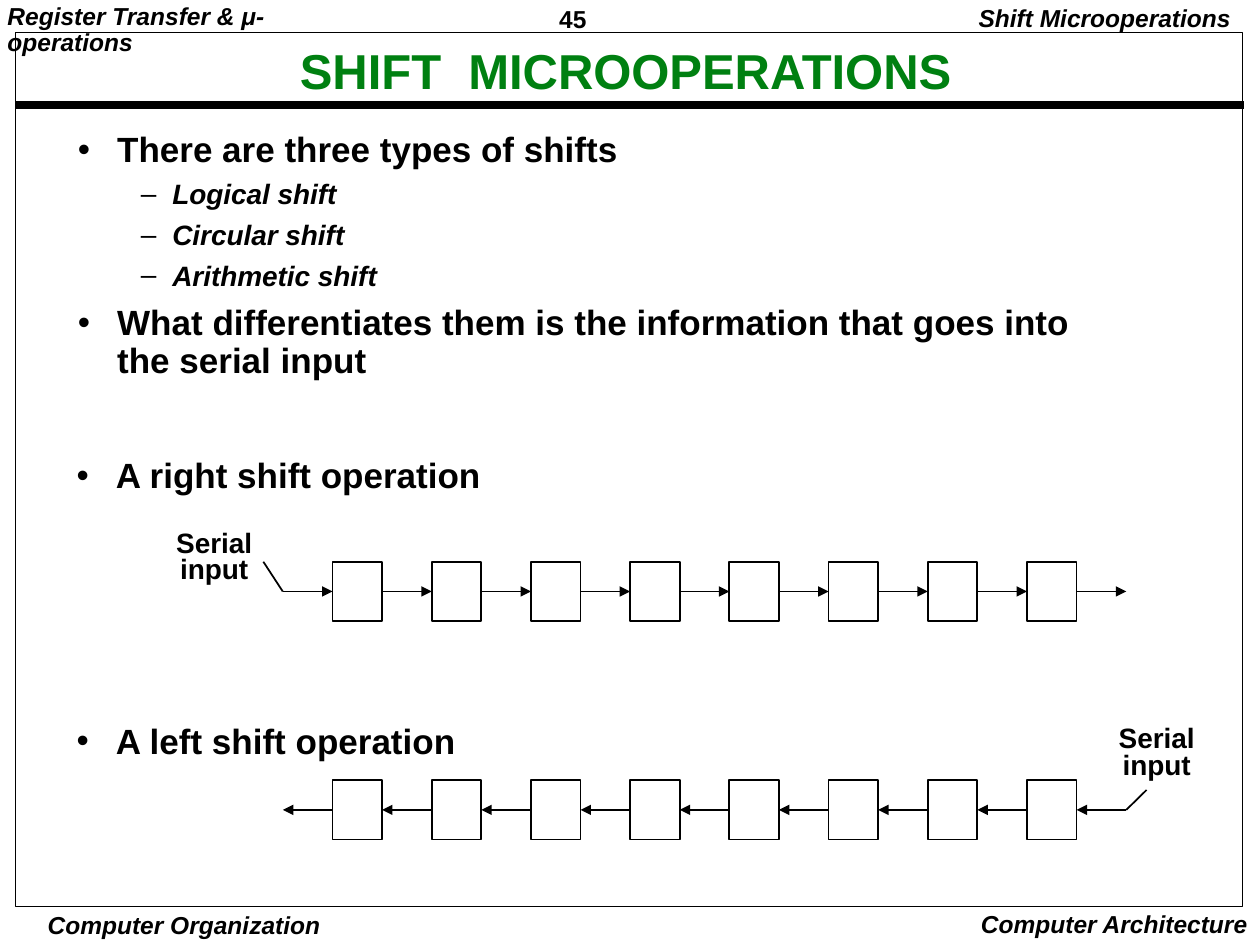
import pptx
import pptx.util
import pptx.dml.color
import pptx.enum.shapes
import pptx.enum.text
import pptx.oxml
import pptx.oxml.ns

Pt = pptx.util.Pt
ALIGN = pptx.enum.text.PP_ALIGN
FONT = "Arial"
COLORS = {"ink": "000000", "title": "008011"}

CELL_COUNT = 8
CELL_WIDTH = 28.35
CELL_HEIGHT = 34
CELL_PITCH = 2 * CELL_WIDTH
REGISTER_LEFT = 190


def color(name):
    return pptx.dml.color.RGBColor.from_string(COLORS[name])


def add_drawing(parent, tag, **attributes):
    element = pptx.oxml.parse_xml(f"<a:{tag} {pptx.oxml.ns.nsdecls('a')}/>")
    for key, value in attributes.items():
        element.set(key, str(value))
    parent.append(element)


def add_text(slide, box, inset=(7.2, 3.6)):
    frame = slide.shapes.add_textbox(*map(Pt, box)).text_frame
    frame.word_wrap = True
    frame.margin_left = frame.margin_right = Pt(inset[0])
    frame.margin_top = frame.margin_bottom = Pt(inset[1])
    return frame


def style(paragraph, size, italic=False, align=ALIGN.LEFT, spacing=0.9, ink="ink"):
    paragraph.alignment = align
    paragraph.line_spacing = spacing
    for run in paragraph.runs:
        run.font.name = FONT
        run.font.size = Pt(size)
        run.font.bold = True
        run.font.italic = italic
        run.font.color.rgb = color(ink)


def add_label(slide, text, box, size, inset=(7.2, 3.6), **look):
    frame = add_text(slide, box, inset)
    frame.text = text
    for paragraph in frame.paragraphs:
        style(paragraph, size, **look)
    return frame


def add_bullets(slide, box, items):
    frame = add_text(slide, box)
    for index, (text, level, before) in enumerate(items):
        paragraph = frame.paragraphs[0] if index == 0 else frame.add_paragraph()
        paragraph.text = text
        paragraph.level = level
        paragraph.space_before = Pt(before)
        style(paragraph, (20, 16)[level], italic=level == 1)
        left, hanging = ((22.5, 22.5), (54, 18))[level]
        properties = paragraph._p.get_or_add_pPr()
        properties.set("marL", str(Pt(left)))
        properties.set("indent", str(-Pt(hanging)))
        add_drawing(properties, "buFont", typeface=FONT)
        add_drawing(properties, "buChar", char="•–"[level])


def add_box(slide, box, weight):
    outline = slide.shapes.add_shape(
        pptx.enum.shapes.MSO_SHAPE.RECTANGLE, *map(Pt, box))
    outline.shadow.inherit = False
    outline.fill.background()
    outline.line.color.rgb = color("ink")
    outline.line.width = Pt(weight)


def add_line(slide, start, end, weight=1, arrow=False):
    line = slide.shapes.add_connector(
        pptx.enum.shapes.MSO_CONNECTOR.STRAIGHT, *map(Pt, (*start, *end)))
    line.line.color.rgb = color("ink")
    line.line.width = Pt(weight)
    if arrow:
        add_drawing(line.line._get_or_add_ln(), "tailEnd", type="triangle")
    add_drawing(line._element.spPr, "effectLst")


def add_register(slide, top, to_right):
    middle = top + CELL_HEIGHT / 2
    for cell in range(CELL_COUNT):
        left = REGISTER_LEFT + cell * CELL_PITCH
        add_box(slide, (left, top, CELL_WIDTH, CELL_HEIGHT), 1)
    for gap in range(CELL_COUNT + 1):
        right = REGISTER_LEFT + gap * CELL_PITCH
        ends = [(right - CELL_WIDTH, middle), (right, middle)]
        add_line(slide, *(ends if to_right else ends[::-1]), arrow=True)


def add_serial_input(slide, left, top, start, end):
    add_label(slide, "Serial\ninput", (left, top, 68, 38), 16,
              align=ALIGN.CENTER, spacing=0.8)
    add_line(slide, start, end)


def add_page_frame(slide):
    add_label(slide, "45", (314.6, 0, 78, 21), 14, inset=(5, 2.2), spacing=1)
    add_label(slide, "Computer Organization", (15.2, 519.4, 180, 18.7), 14,
              inset=(2.2, 0.7), italic=True, align=ALIGN.CENTER, spacing=1)
    add_label(slide, "Computer Architecture", (540, 516.2, 180, 23.8), 14,
              italic=True, align=ALIGN.RIGHT, spacing=1)
    add_label(slide, "Shift Microoperations", (530.6, 0, 180, 22.3), 14,
              italic=True, align=ALIGN.RIGHT)
    add_label(slide, "Register Transfer & μ-operations", (-0.7, 0, 180, 34.6), 14,
              inset=(5, 2.2), italic=True)
    add_line(slide, (9, 59.8), (710.6, 59.8), 4.5)
    add_box(slide, (9, 18.5, 701.2, 499.7), 0.5)


def main():
    deck = pptx.Presentation()
    deck.slide_width, deck.slide_height = Pt(720), Pt(540)
    slide = deck.slides.add_slide(deck.slide_layouts[6])

    add_page_frame(slide)
    title = add_label(slide, "SHIFT  MICROOPERATIONS", (11.5, 24.6, 692, 34.6), 28,
                      align=ALIGN.CENTER, ink="title")
    title.vertical_anchor = pptx.enum.text.MSO_ANCHOR.MIDDLE

    add_bullets(slide, (37.4, 72, 583.2, 186.5), [
        ("There are three types of shifts", 0, 0),
        ("Logical shift", 1, 6),
        ("Circular shift", 1, 6),
        ("Arithmetic shift", 1, 6),
        ("What differentiates them is the information that goes into the serial input",
         0, 7.5),
    ])
    add_bullets(slide, (36.7, 258.5, 360, 180), [
        ("A right shift operation", 0, 0),
        ("A left shift operation", 0, 130),
    ])

    add_register(slide, 321, to_right=True)
    add_serial_input(slide, 88.4, 300.2, (161.6, 338), (150.5, 321))
    add_register(slide, 445.8, to_right=False)
    add_serial_input(slide, 627, 411.8, (643.6, 462.8), (655.2, 451.4))

    deck.save("out.pptx")


if __name__ == "__main__":
    main()
